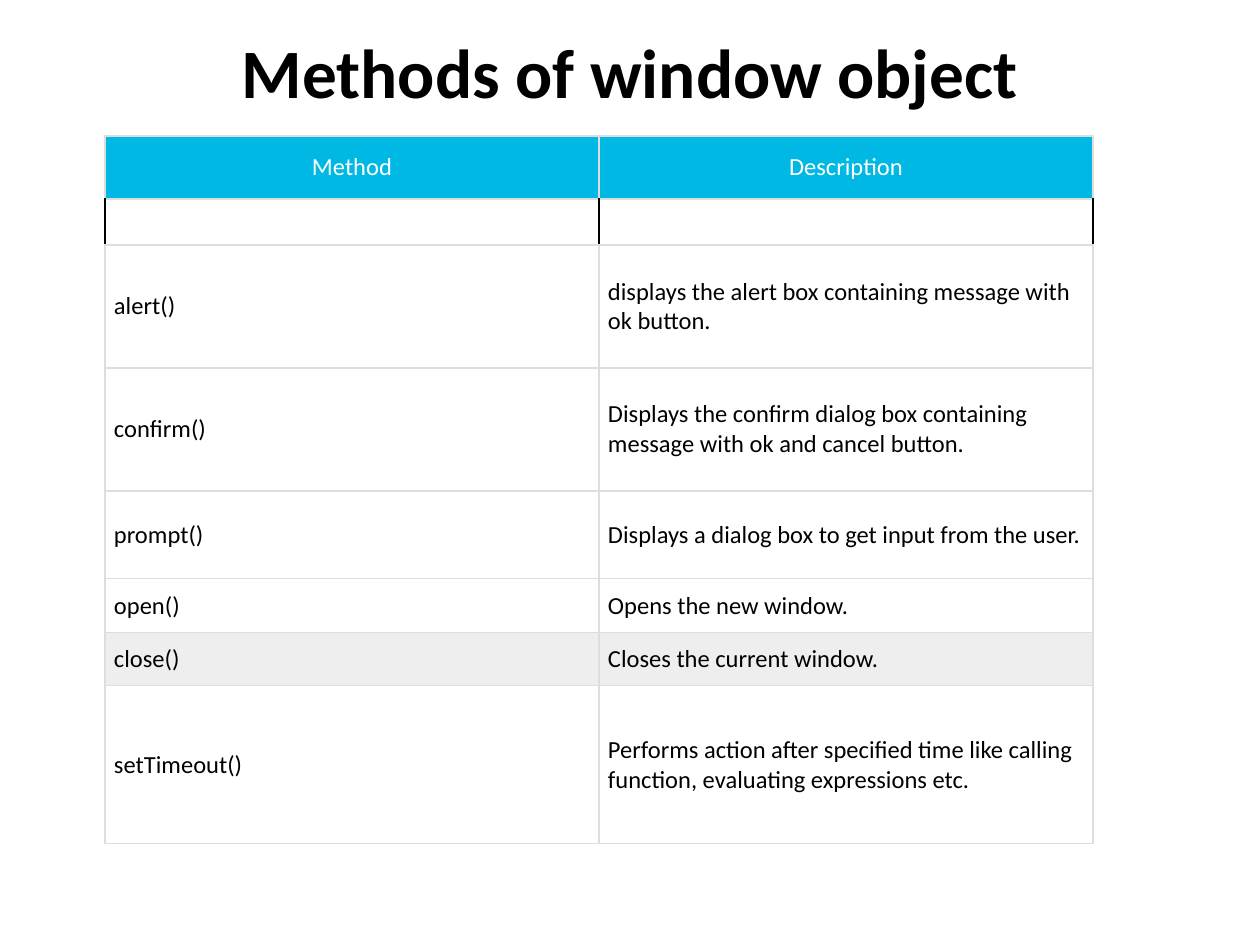
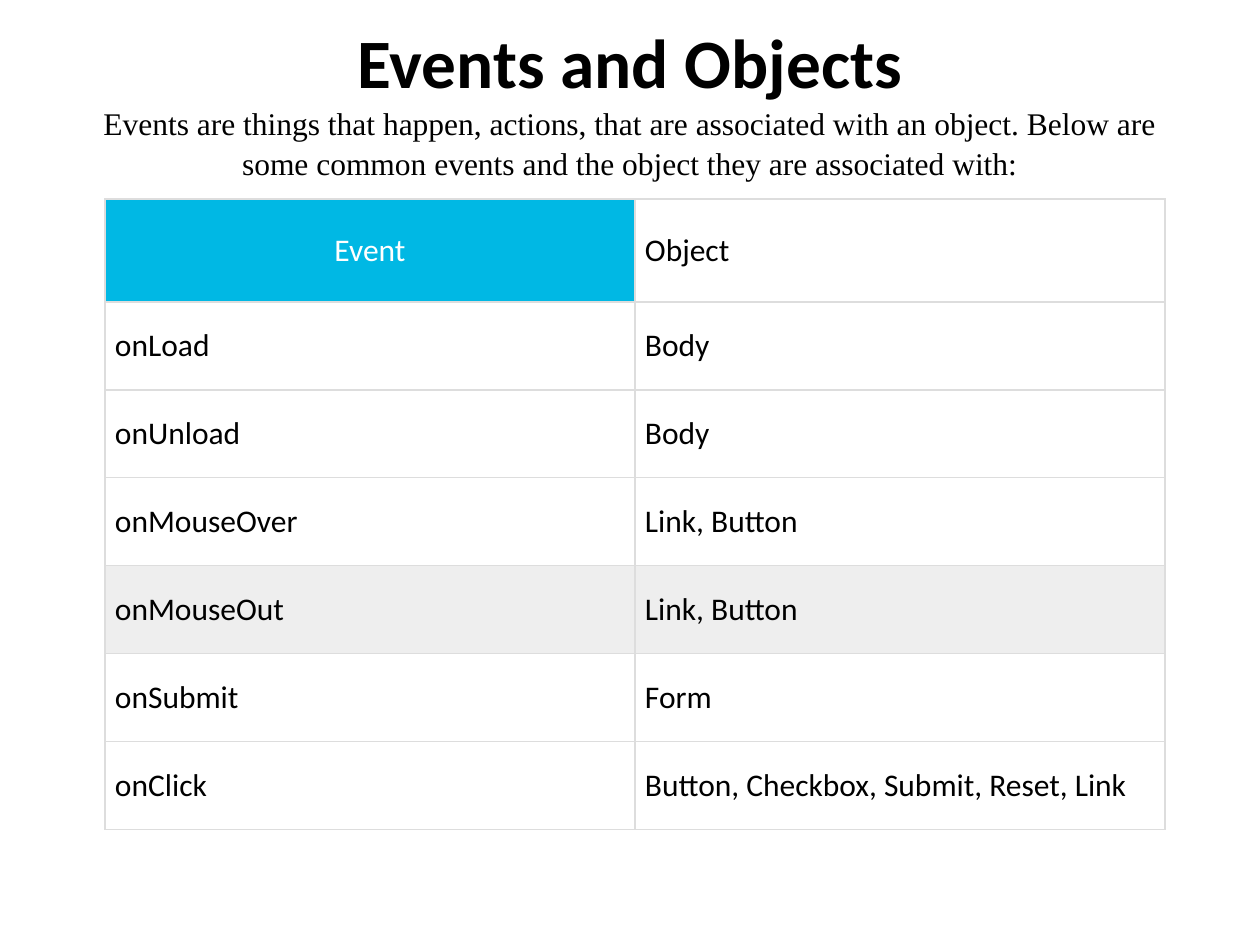
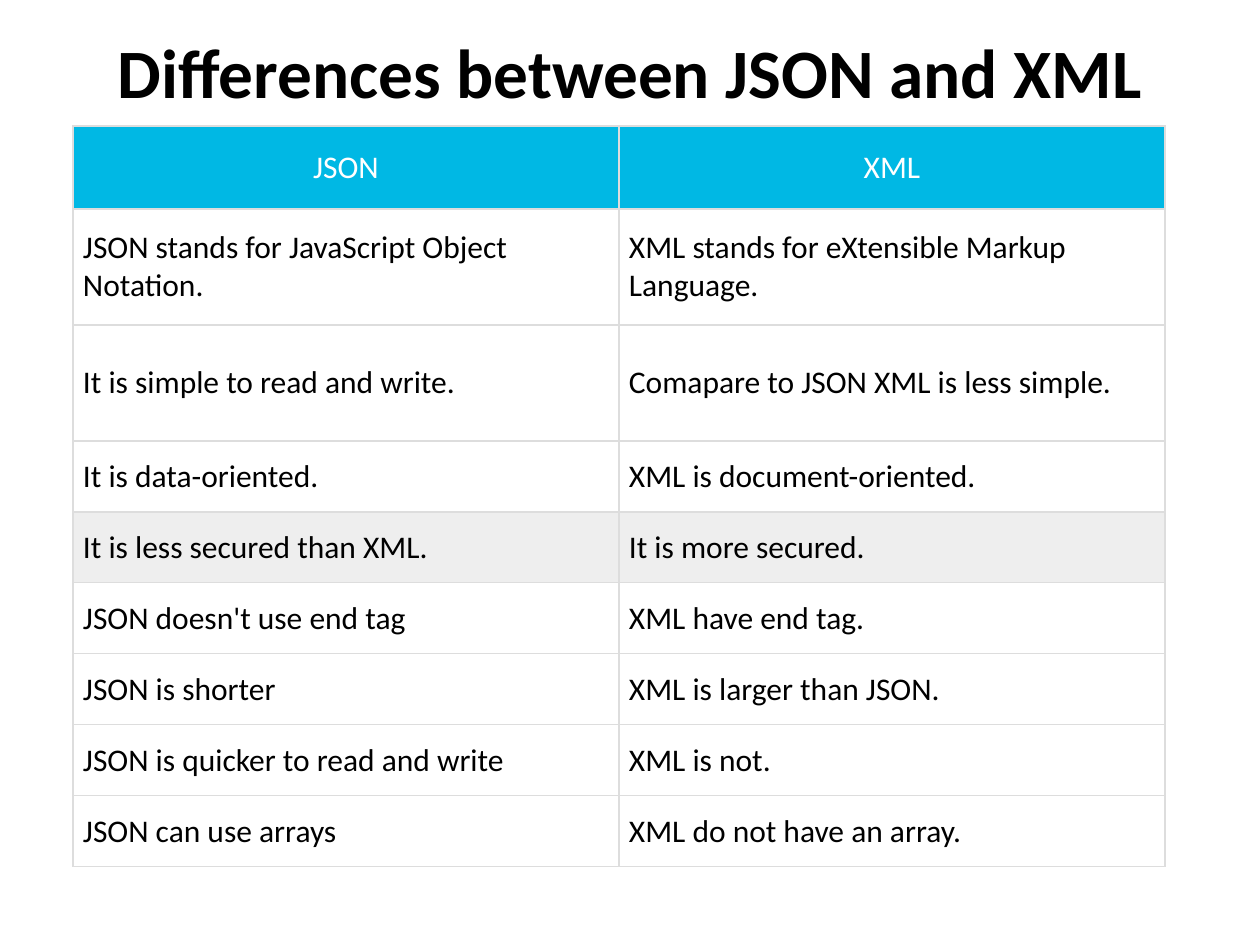
from pptx import Presentation
from pptx.dml.color import RGBColor
from pptx.enum.text import MSO_ANCHOR as Anchor, MSO_AUTO_SIZE as AutoSize, PP_ALIGN as Align
from pptx.oxml.ns import qn
from pptx.util import Inches, Pt
from lxml.etree import SubElement

BLACK = RGBColor(0x00, 0x00, 0x00)
WHITE = RGBColor(0xFF, 0xFF, 0xFF)
CYAN = RGBColor(0x00, 0xB8, 0xE4)
PALE_GREY = RGBColor(0xEE, 0xEE, 0xEE)
RULE_GREY = RGBColor(0xDD, 0xDD, 0xDD)
BODY_FONT, INTRO_FONT = "Calibri", "Times New Roman"
TITLE_SIZE, INTRO_SIZE = 39.6, 18
TITLE_LEFT, TITLE_TOP, TITLE_WIDTH = 63, 38, 1134
TITLE_ONLY = 5


def px(pixels):
    """Turn pixels into EMU."""
    return round(pixels * 914400 / 126)


def style_paragraph(paragraph, font, size, color, align=Align.LEFT, bold=False):
    """Align a paragraph and format its runs."""
    paragraph.alignment = align
    for run in paragraph.runs:
        run.font.name, run.font.size, run.font.bold = font, Pt(size), bold
        run.font.color.rgb = color


def border_cell(cell, side_color):
    """Rule all four edges of a cell; the sides may differ in colour."""
    properties = cell._tc.get_or_add_tcPr()
    edges = {"a:lnL": side_color, "a:lnR": side_color, "a:lnT": RULE_GREY, "a:lnB": RULE_GREY}
    for position, (edge, color) in enumerate(edges.items()):
        line = SubElement(properties, qn(edge), w=str(Pt(0.75)))
        SubElement(SubElement(line, qn("a:solidFill")), qn("a:srgbClr"), val=str(color))
        properties.insert(position, line)


class Deck:
    """The shared style and the slide being built."""

    def __init__(self):
        """Start an empty 10 by 7.5 inch presentation."""
        self.presentation = Presentation()
        self.presentation.slide_width = Inches(10)
        self.presentation.slide_height = Inches(7.5)
        self.slide = None

    def add_slide(self, heading, intro=None):
        """Add a slide with a heading and an optional introduction below it."""
        self.slide = self.presentation.slides.add_slide(
            self.presentation.slide_layouts[TITLE_ONLY])
        title = self.slide.shapes.title
        title.left, title.top = px(TITLE_LEFT), px(TITLE_TOP)
        title.width, title.height = px(TITLE_WIDTH), px(157 if intro else 57)
        frame = title.text_frame
        frame.word_wrap, frame.auto_size = True, AutoSize.NONE
        frame.vertical_anchor = Anchor.MIDDLE
        frame.margin_top, frame.margin_bottom = (0, px(32)) if intro else (px(8), 0)
        frame.text = heading
        style_paragraph(frame.paragraphs[0], BODY_FONT, TITLE_SIZE, BLACK, Align.CENTER, True)
        if intro:
            paragraph = frame.add_paragraph()
            paragraph.text = intro
            paragraph.line_spacing = 1.05
            style_paragraph(paragraph, INTRO_FONT, INTRO_SIZE, BLACK, Align.CENTER)

    def add_table(self, rows, left, top, column_width, heights,
                  shaded, size=18, inset=10, head_inset=15, head_cells=2):
        """Add a two-column table with head cells and one shaded row."""
        table = self.slide.shapes.add_table(
            len(rows), 2, px(left), px(top), px(2 * column_width), px(sum(heights))).table
        table.first_row = table.horz_banding = False
        for column in table.columns:
            column.width = px(column_width)
        for r, (texts, height) in enumerate(zip(rows, heights)):
            table.rows[r].height = px(height)
            for c, text in enumerate(texts):
                cell = table.cell(r, c)
                if not text:
                    self.fill_spacer(cell)
                    continue
                is_head = r == 0 and c < head_cells
                fill = CYAN if is_head else PALE_GREY if r == shaded else WHITE
                self.fill_cell(cell, text, fill, size, inset,
                               head_inset if is_head else inset, is_head)

    def fill_spacer(self, cell):
        """Leave a cell empty, with black sides."""
        cell.margin_top = cell.margin_bottom = 0
        cell.fill.background()
        border_cell(cell, BLACK)

    def fill_cell(self, cell, text, fill, size, side_inset, end_inset, is_head):
        """Write and format one table cell."""
        cell.text_frame.text = text
        cell.vertical_anchor = Anchor.MIDDLE
        cell.margin_left = cell.margin_right = px(side_inset)
        cell.margin_top = cell.margin_bottom = px(end_inset)
        cell.fill.solid()
        cell.fill.fore_color.rgb = fill
        border_cell(cell, RULE_GREY)
        style_paragraph(cell.text_frame.paragraphs[0], BODY_FONT, size,
                        WHITE if is_head else BLACK,
                        Align.CENTER if is_head else Align.LEFT)


WINDOW_METHODS = [
    ("Method", "Description"),
    ("", ""),
    ("alert()", "displays the alert box containing message with ok button."),
    ("confirm()", "Displays the confirm dialog box containing message with ok and cancel button."),
    ("prompt()", "Displays a dialog box to get input from the user."),
    ("open()", "Opens the new window."),
    ("close()", "Closes the current window."),
    ("setTimeout()", "Performs action after specified time like calling function, "
                     "evaluating expressions etc."),
]
EVENT_OBJECTS = [
    ("Event", "Object"),
    ("onLoad", "Body"),
    ("onUnload", "Body"),
    ("onMouseOver", "Link, Button"),
    ("onMouseOut", "Link, Button"),
    ("onSubmit", "Form"),
    ("onClick", "Button, Checkbox, Submit, Reset, Link"),
]
JSON_XML = [
    ("JSON", "XML"),
    ("JSON stands for JavaScript Object Notation.", "XML stands for eXtensible Markup Language."),
    ("It is simple to read and write.", "Comapare to JSON XML is less simple."),
    ("It is data-oriented.", "XML is document-oriented."),
    ("It is less secured than XML.", "It is more secured."),
    ("JSON doesn't use end tag", "XML have end tag."),
    ("JSON is shorter", "XML is larger than JSON."),
    ("JSON is quicker to read and write", "XML is not."),
    ("JSON can use arrays", "XML do not have an array."),
]

deck = Deck()

deck.add_slide("Methods of window object")
deck.add_table(WINDOW_METHODS, 105, 136, 494, [63, 46, 123, 123, 88, 54, 53, 158],
               shaded=6, size=14, inset=9, head_inset=13)

deck.add_slide("Events and Objects",
               "Events are things that happen, actions, that are associated with an object. "
               "Below are some common events and the object they are associated with:")
deck.add_table(EVENT_OBJECTS, 105, 199, 530, [103] + [88] * 6, shaded=4, head_cells=1)

deck.add_slide("Differences between JSON and XML")
deck.add_table(JSON_XML, 73, 126, 546, [83] + [116] * 2 + [71] * 6, shaded=4)

deck.presentation.save("out.pptx")
